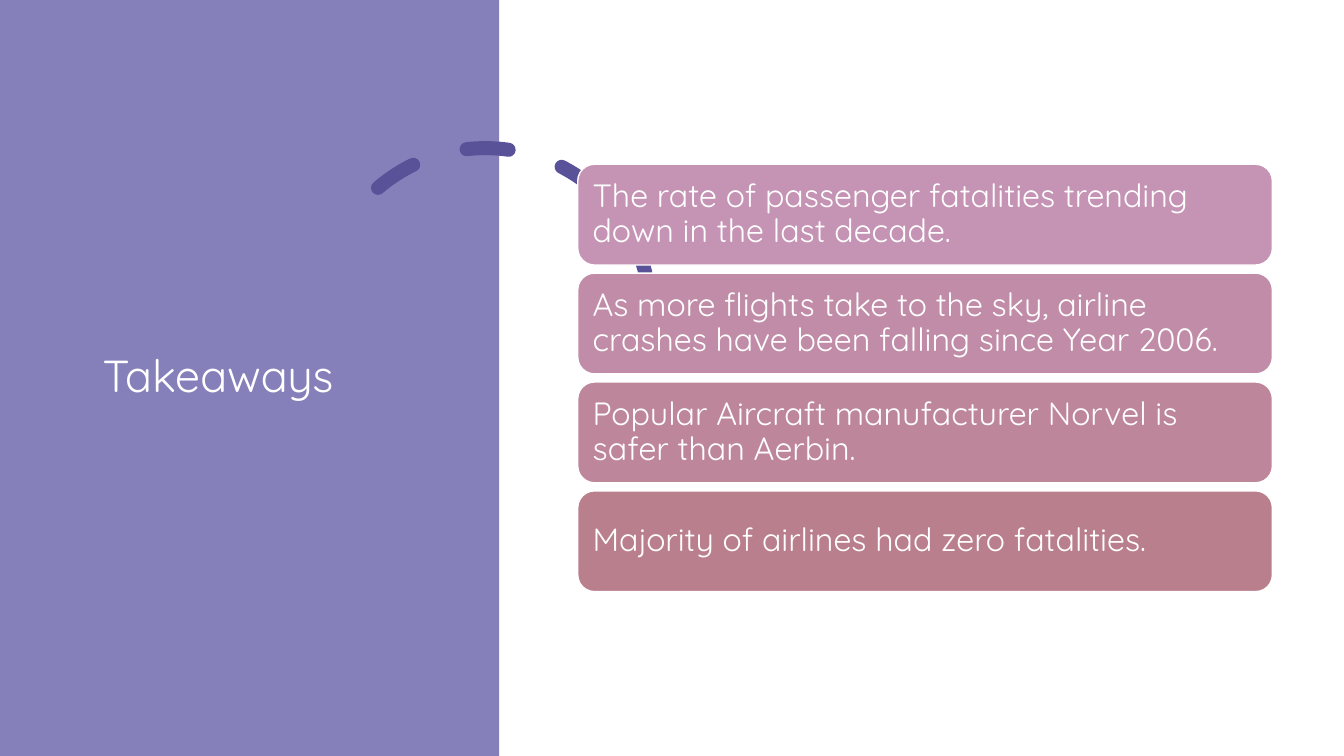
from pptx import Presentation
from pptx.dml.color import RGBColor
from pptx.enum.dml import MSO_LINE
from pptx.enum.shapes import MSO_SHAPE
from pptx.enum.text import MSO_ANCHOR, PP_ALIGN
from pptx.oxml.ns import qn
from pptx.util import Inches, Pt

RECTANGLE, ARC, ROUNDED = MSO_SHAPE.RECTANGLE, MSO_SHAPE.ARC, MSO_SHAPE.ROUNDED_RECTANGLE
DASH = MSO_LINE.DASH
MIDDLE = MSO_ANCHOR.MIDDLE
LEFT = PP_ALIGN.LEFT

THEME = {
    "font": "Quicksand",
    "title_size": 32,
    "card_size": 23,
    "white": RGBColor.from_string("FFFFFF"),
    "panel": RGBColor.from_string("857FBA"),
    "arc": RGBColor.from_string("595299"),
    "cards": [RGBColor.from_string(code) for code in ("C593B4", "C18CA8", "BE869B", "BA7F8D")],
}

TAKEAWAYS = [
    "The rate of passenger fatalities trending down in the last decade.",
    "As more flights take to the sky, airline crashes have been falling since Year 2006.",
    "Popular Aircraft manufacturer Norvel is safer than Aerbin.",
    "Majority of airlines had zero fatalities.",
]
CARD_TOP, CARD_STEP = 1.63, 1.08


def add_plain_shape(kind, left, top, width, height):
    shape = slide.shapes.add_shape(kind, Inches(left), Inches(top), Inches(width), Inches(height))
    shape.shadow.inherit = False
    return shape


def write_text(shape, text, size):
    frame = shape.text_frame
    frame.word_wrap = True
    frame.vertical_anchor = MIDDLE
    frame.margin_left = frame.margin_right = Inches(0.1)
    paragraph = frame.paragraphs[0]
    paragraph.text = text
    paragraph.alignment = LEFT
    paragraph.line_spacing = 0.9
    paragraph.font.name = THEME["font"]
    paragraph.font.size = Pt(size)
    paragraph.font.color.rgb = THEME["white"]


presentation = Presentation()
presentation.slide_width = Inches(13.33)
presentation.slide_height = Inches(7.5)
slide = presentation.slides.add_slide(presentation.slide_layouts[6])
slide.background.fill.solid()
slide.background.fill.fore_color.rgb = THEME["white"]

# Left panel
panel = add_plain_shape(RECTANGLE, 0, 0, 4.95, 7.5)
panel.fill.solid()
panel.fill.fore_color.rgb = THEME["panel"]
panel.line.fill.background()

# Dashed arc with round caps
arc = add_plain_shape(ARC, 3.18, 1.47, 3.27, 3.27)
arc.rotation = 345.8
arc.adjustments[0] = 146.13
arc.adjustments[1] = 0
arc.fill.background()
arc.line.color.rgb = THEME["arc"]
arc.line.width = Pt(10)
arc.line.dash_style = DASH
arc.element.spPr.find(qn("a:ln")).set("cap", "rnd")

# Title
title = slide.shapes.add_textbox(Inches(0.92), Inches(0.7), Inches(3.23), Inches(6.09))
write_text(title, "Takeaways", THEME["title_size"])

# Takeaway cards
for index, (takeaway, color) in enumerate(zip(TAKEAWAYS, THEME["cards"])):
    card = add_plain_shape(ROUNDED, 5.73, CARD_TOP + index * CARD_STEP, 6.89, 1)
    card.fill.solid()
    card.fill.fore_color.rgb = color
    card.line.color.rgb = THEME["white"]
    card.line.width = Pt(1)
    write_text(card, takeaway, THEME["card_size"])

presentation.save("out.pptx")
